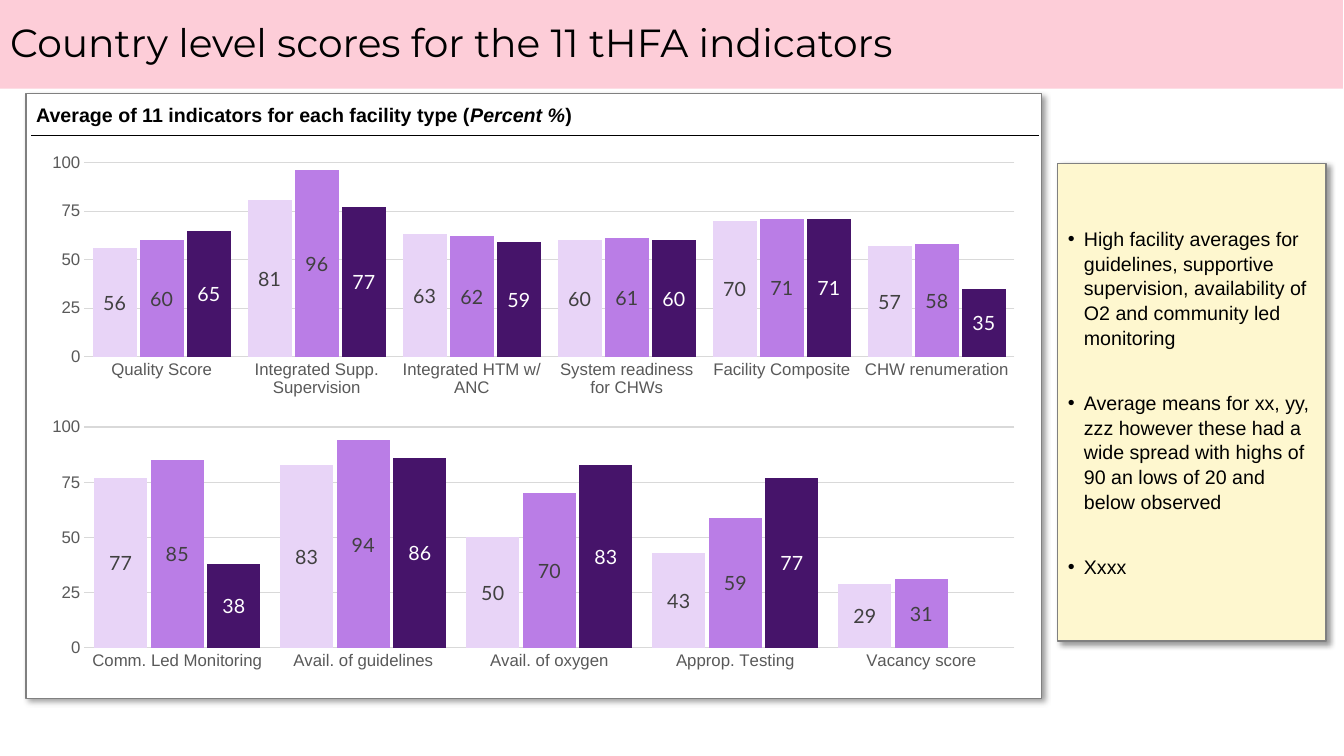
from pptx import Presentation
from pptx.chart.data import CategoryChartData as ChartData
from pptx.dml.color import RGBColor as RGB
from pptx.enum.chart import XL_CHART_TYPE as CHART
from pptx.enum.chart import XL_LABEL_POSITION as LABEL
from pptx.enum.chart import XL_TICK_MARK as TICK
from pptx.enum.shapes import MSO_CONNECTOR as LINK
from pptx.enum.shapes import MSO_SHAPE as SHAPE
from pptx.enum.text import MSO_ANCHOR as ANCHOR
from pptx.enum.text import MSO_AUTO_SIZE as AUTO
from pptx.enum.text import PP_ALIGN as ALIGN
from pptx.oxml import parse_xml
from pptx.oxml.ns import nsdecls, qn
from pptx.util import Inches, Pt

COLORS = {
    "black": "000000", "white": "FFFFFF", "pink": "FDCDD8",
    "cream": "FEF7CF", "edge": "808080", "axis": "595959",
    "grid": "D9D9D9", "label": "404040",
    "pale": "E8D4F7", "mid": "BA7DE6", "dark": "46146A",
}
BARS = [("pale", "label"), ("mid", "label"), ("dark", "white")]
TOP = {
    "Quality Score": (56, 60, 65),
    "Integrated Supp. Supervision": (81, 96, 77),
    "Integrated HTM w/ ANC": (63, 62, 59),
    "System readiness\nfor CHWs": (60, 61, 60),
    "Facility Composite": (70, 71, 71),
    "CHW renumeration": (57, 58, 35),
}
BOTTOM = {
    "Comm. Led Monitoring": (77, 85, 38),
    "Avail. of guidelines": (83, 94, 86),
    "Avail. of oxygen": (50, 70, 83),
    "Approp. Testing": (43, 59, 77),
    "Vacancy score": (29, 31, None),
}
NOTES = [
    "High facility averages for guidelines, supportive supervision, "
    "availability of O2 and community led monitoring",
    "Average means for xx, yy, zzz however these had a wide spread "
    "with highs of 90 an lows of 20 and below observed",
    "Xxxx",
]


def color(name):
    return RGB.from_string(COLORS[name])


def paint(shape, name):
    shape.fill.solid()
    shape.fill.fore_color.rgb = color(name)


def style(font, size, name, face="Arial"):
    font.size, font.name = Pt(size), face
    font.color.rgb = color(name)


def stroke(line, name, width):
    line.color.rgb = color(name)
    line.width = Pt(width)


def place(shape, left, top, width, height):
    shape.left, shape.top = Inches(left), Inches(top)
    shape.width, shape.height = Inches(width), Inches(height)


def frame(shape, name):
    """Give a box its fill, grey edge and soft shadow."""
    paint(shape, name)
    stroke(shape.line, "edge", 1)
    shape.shadow.inherit = False
    shape.element.spPr.find(qn("a:effectLst")).append(parse_xml(
        f'<a:outerShdw {nsdecls("a")} blurRad="{Pt(4)}" dist="{Pt(3)}" '
        f'dir="2700000" algn="tl" rotWithShape="0">'
        f'<a:srgbClr val="{COLORS["black"]}"><a:alpha val="40000"/>'
        '</a:srgbClr></a:outerShdw>'))


def add_title(slide, text):
    title = slide.shapes.title
    place(title, 0, 0, 13.32, 0.88)
    paint(title, "pink")
    body = title.text_frame
    body.text = text
    body.auto_size, body.vertical_anchor = AUTO.NONE, ANCHOR.MIDDLE
    body.margin_left = Inches(0.1)
    body.margin_right = body.margin_top = body.margin_bottom = 0
    para = body.paragraphs[0]
    para.alignment, para.line_spacing = ALIGN.LEFT, 0.9
    style(para.runs[0].font, 28, "black", "Montserrat")


def add_panel(slide):
    panel = slide.shapes.add_shape(SHAPE.RECTANGLE, 0, 0, 0, 0)
    place(panel, 0.26, 0.93, 10.07, 6)
    frame(panel, "white")


def add_heading(slide):
    box = slide.shapes.add_textbox(
        Inches(0.26), Inches(0.97), Inches(10), Inches(0.34))
    box.text_frame.word_wrap = True
    para = box.text_frame.paragraphs[0]
    para.space_after = Pt(6)
    parts = ["Average of 11 indicators for each facility type (",
             "Percent %", ")"]
    for part in parts:
        run = para.add_run()
        run.text = part
        style(run.font, 14, "black")
        run.font.bold, run.font.italic = True, part == "Percent %"


def add_rule(slide):
    rule = slide.shapes.add_connector(
        LINK.STRAIGHT, Inches(0.31), Inches(1.34), Inches(10.31), Inches(1.34))
    stroke(rule.line, "black", 0.5)
    rule.element.spPr.append(parse_xml(f'<a:effectLst {nsdecls("a")}/>'))


def set_plot(chart, top, height):
    """Fix the inner plot area, as shares of the chart's frame."""
    area = chart.element.find(".//" + qn("c:plotArea"))
    for old in area.findall(qn("c:layout")):
        area.remove(old)
    sides = {"x": 0.05, "y": top, "w": 0.93, "h": height}
    marks = "".join(f'<c:{k}Mode val="edge"/>' for k in "xy")
    marks += "".join(f'<c:{k} val="{v}"/>' for k, v in sides.items())
    area.insert(0, parse_xml(
        f'<c:layout {nsdecls("c")}><c:manualLayout>'
        f'<c:layoutTarget val="inner"/>{marks}</c:manualLayout></c:layout>'))


def add_columns(slide, scores, top, height, inner):
    data = ChartData()
    data.categories = list(scores)
    for i, values in enumerate(zip(*scores.values()), 1):
        data.add_series(f"Series {i}", values)
    chart = slide.shapes.add_chart(
        CHART.COLUMN_CLUSTERED, Inches(0.34), Inches(top),
        Inches(9.92), Inches(height), data).chart
    chart.has_legend = chart.has_title = False
    style(chart.font, 10, "black")
    set_plot(chart, *inner)

    cat, val = chart.category_axis, chart.value_axis
    for axis in (cat, val):
        axis.major_tick_mark = axis.minor_tick_mark = TICK.NONE
        style(axis.tick_labels.font, 12, "axis")
    stroke(cat.format.line, "grid", 0.75)
    val.format.line.fill.background()
    val.minimum_scale, val.maximum_scale, val.major_unit = 0, 100, 25
    val.tick_labels.number_format = "0"
    val.tick_labels.number_format_is_linked = False
    stroke(val.major_gridlines.format.line, "grid", 0.75)

    plot = chart.plots[0]
    plot.gap_width, plot.overlap = 38, -7
    plot.vary_by_categories = False
    for series, (fill, ink) in zip(plot.series, BARS):
        paint(series.format, fill)
        labels = series.data_labels
        labels.show_value, labels.position = True, LABEL.CENTER
        labels.number_format, labels.number_format_is_linked = "0", False
        style(labels.font, 14, ink, "Lato")


def add_notes(slide):
    box = slide.placeholders[1]
    place(box, 10.49, 1.62, 2.66, 4.74)
    frame(box, "cream")
    body = box.text_frame
    body.text = "\n".join(NOTES)
    body.auto_size, body.vertical_anchor = AUTO.NONE, ANCHOR.MIDDLE
    for i, para in enumerate(body.paragraphs):
        props = para._p.get_or_add_pPr()
        props.set("marL", str(Inches(0.16)))
        props.set("indent", str(Inches(-0.16)))
        props.append(parse_xml(
            f'<a:buFont {nsdecls("a")} typeface="Arial"/>'))
        props.append(parse_xml(f'<a:buChar {nsdecls("a")} char="•"/>'))
        para.line_spacing = 1.05
        para.space_before = Pt(29 if i else 0)
        para.space_after = Pt(0)
        style(para.runs[0].font, 14, "black")


def main():
    deck = Presentation()
    deck.slide_width, deck.slide_height = Inches(13.33), Inches(7.5)
    slide = deck.slides.add_slide(deck.slide_layouts[1])
    add_title(slide, "Country level scores for the 11 tHFA indicators")
    add_panel(slide)
    add_columns(slide, TOP, 1.49, 2.5, (0.05, 0.77))
    add_columns(slide, BOTTOM, 4.08, 2.61, (0.06, 0.84))
    add_heading(slide)
    add_rule(slide)
    add_notes(slide)
    deck.save("out.pptx")


if __name__ == "__main__":
    main()
